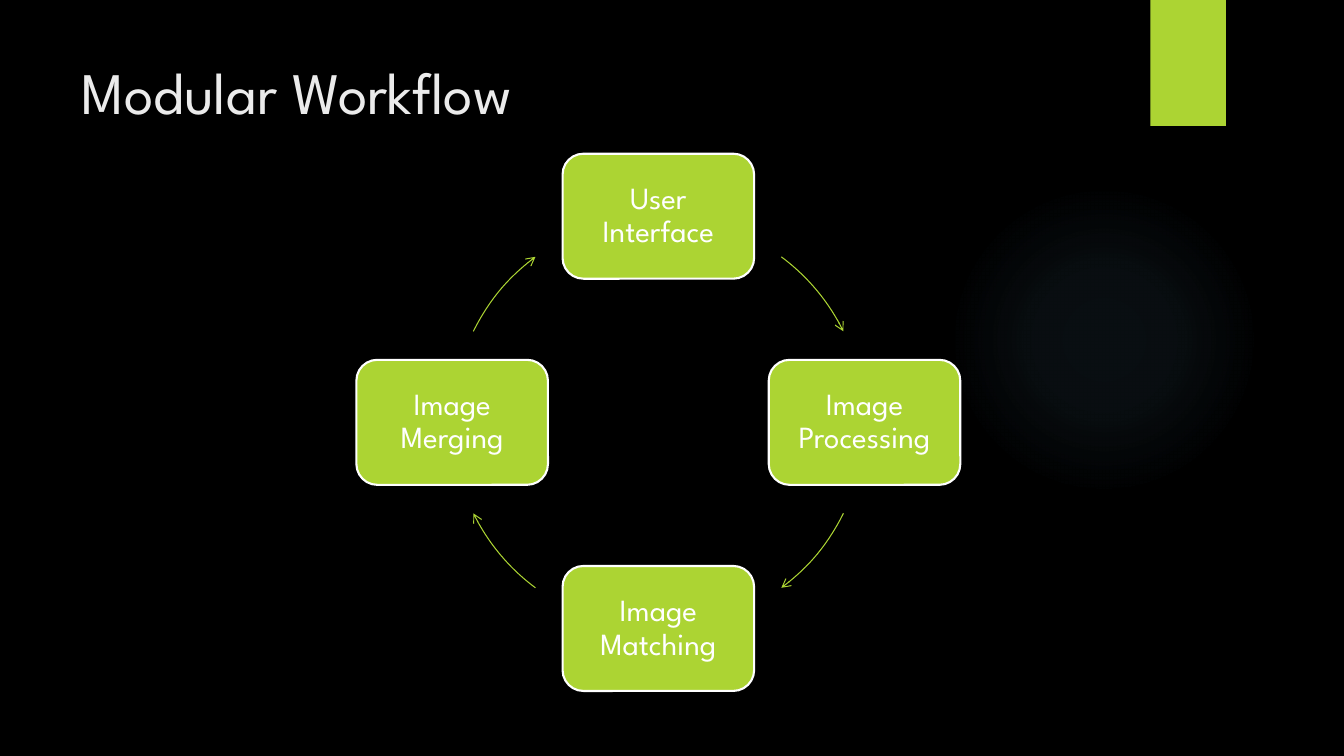
import math
import pptx
import pptx.util
import pptx.dml.color
import pptx.enum.shapes
import pptx.enum.text
import pptx.oxml
import pptx.oxml.ns

Inches = pptx.util.Inches
Pt = pptx.util.Pt
SHAPES = pptx.enum.shapes.MSO_SHAPE
COLORS = {"background": "000000", "green": "ACD433", "title": "EBEBEB",
          "white": "FFFFFF", "glow": "7AC4F0"}
FONT = "League Spartan"


def rgb(name):
    return pptx.dml.color.RGBColor.from_string(COLORS[name])


def add_shape(kind, left, top, width, height, fill=None, line=None, weight=1):
    shape = slide.shapes.add_shape(
        kind, Inches(left), Inches(top), Inches(width), Inches(height))
    shape.shadow.inherit = False
    if fill:
        shape.fill.solid()
        shape.fill.fore_color.rgb = rgb(fill)
    else:
        shape.fill.background()
    if line:
        shape.line.color.rgb = rgb(line)
        shape.line.width = Pt(weight)
    else:
        shape.line.fill.background()
    return shape


presentation = pptx.Presentation()
presentation.slide_width = Inches(13.33)
presentation.slide_height = Inches(7.5)
slide = presentation.slides.add_slide(presentation.slide_layouts[6])
slide.background.fill.solid()
slide.background.fill.fore_color.rgb = rgb("background")

# Soft round glow
glow = add_shape(SHAPES.OVAL, 9.41, 1.83, 3.08, 3.08)
stops = "".join(
    f'<a:gs pos="{position * 1000}"><a:srgbClr val="{COLORS["glow"]}">'
    f'<a:alpha val="{alpha * 1000}"/></a:srgbClr></a:gs>'
    for position, alpha in [(0, 7), (36, 6), (69, 0), (100, 0)])
gradient = pptx.oxml.parse_xml(
    f'<a:gradFill {pptx.oxml.ns.nsdecls("a")}><a:gsLst>{stops}</a:gsLst>'
    '<a:path path="circle"><a:fillToRect l="50000" t="50000" r="50000" b="50000"/>'
    '</a:path></a:gradFill>')
properties = glow._element.spPr
properties.replace(properties.find(pptx.oxml.ns.qn("a:noFill")), gradient)

# Corner tab
add_shape(SHAPES.RECTANGLE, 11.41, 0, 0.75, 1.25, fill="green")

# Title
title = slide.shapes.add_textbox(Inches(0.71), Inches(0.5), Inches(10.29), Inches(1.53))
title.text_frame.word_wrap = True
paragraph = title.text_frame.paragraphs[0]
paragraph.text = "Modular Workflow"
paragraph.font.name = FONT
paragraph.font.size = Pt(42)
paragraph.font.color.rgb = rgb("title")

# Cycle: steps sit clockwise on a circle, each followed by an arc arrow
center_x, center_y, radius = 6.53, 4.19, 2.045
step_width, step_height = 1.9, 1.24
arc_sweep = 27.2
steps = [("User Interface", 306.6), ("Image Processing", 26.2),
         ("Image Matching", 126.6), ("Image Merging", 206.2)]
for index, (label, arc_start) in enumerate(steps):
    angle = math.radians(90 * index - 90)
    step = add_shape(SHAPES.ROUNDED_RECTANGLE,
                     center_x + radius * math.cos(angle) - step_width / 2,
                     center_y + radius * math.sin(angle) - step_height / 2,
                     step_width, step_height, "green", "white", 1.5)
    frame = step.text_frame
    frame.word_wrap = True
    frame.vertical_anchor = pptx.enum.text.MSO_ANCHOR.MIDDLE
    frame.margin_left = frame.margin_right = Inches(0.15)
    frame.margin_top = frame.margin_bottom = Inches(0.15)
    paragraph = frame.paragraphs[0]
    paragraph.text = label
    paragraph.alignment = pptx.enum.text.PP_ALIGN.CENTER
    paragraph.line_spacing = 0.9
    paragraph.font.name = FONT
    paragraph.font.size = Pt(22)
    paragraph.font.color.rgb = rgb("white")

    arc = add_shape(SHAPES.ARC, center_x - radius, center_y - radius,
                    2 * radius, 2 * radius, line="green", weight=0.75)
    # Arc angles are stored in 60000ths of a degree, adjustments in 100000ths
    arc.adjustments[0] = arc_start * 0.6
    arc.adjustments[1] = (arc_start + arc_sweep) * 0.6
    arc.line._get_or_add_ln().append(pptx.oxml.parse_xml(
        f'<a:tailEnd {pptx.oxml.ns.nsdecls("a")} type="arrow"/>'))

presentation.save("out.pptx")
